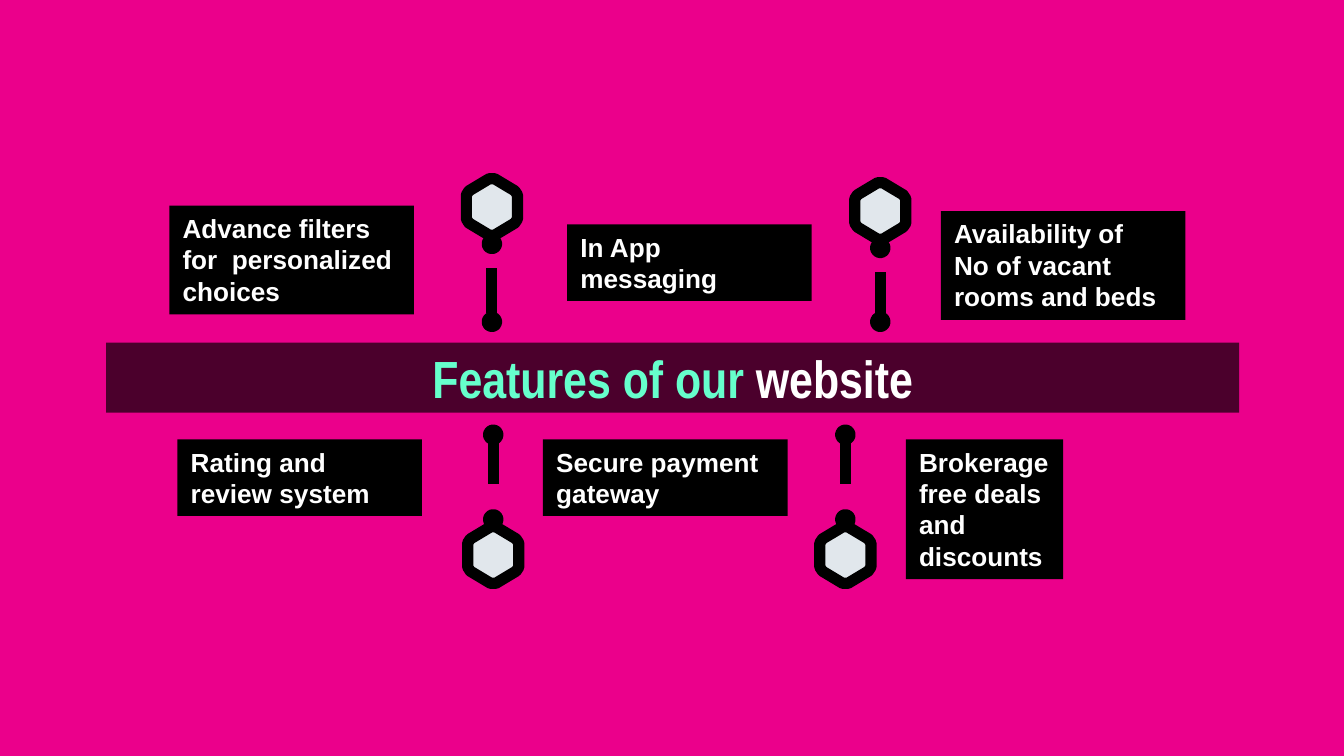
from typing import NamedTuple

from lxml import etree
from pptx import Presentation
from pptx.dml.color import RGBColor
from pptx.enum.dml import MSO_LINE
from pptx.enum.shapes import MSO_CONNECTOR, MSO_SHAPE
from pptx.enum.text import MSO_ANCHOR, MSO_AUTO_SIZE, PP_ALIGN
from pptx.oxml.ns import qn
from pptx.util import Inches, Pt

DASH = MSO_LINE.DASH
STRAIGHT = MSO_CONNECTOR.STRAIGHT
OVAL, RECTANGLE = MSO_SHAPE.OVAL, MSO_SHAPE.RECTANGLE
MIDDLE, TOP = MSO_ANCHOR.MIDDLE, MSO_ANCHOR.TOP
NO_FIT, GROW = MSO_AUTO_SIZE.NONE, MSO_AUTO_SIZE.SHAPE_TO_FIT_TEXT
CENTER, LEFT = PP_ALIGN.CENTER, PP_ALIGN.LEFT

COLORS = {
    "background": "EB008B",
    "black": "000000",
    "white": "FFFFFF",
    "mint": "66FFCC",
    "hexagon": "E1E7EC",
    "dot": "A5B7C6",
}
DOT_SIZE = 0.07
HEXAGON_HEIGHT = 0.42
# Top right quarter of a hexagon with cut corners, from its top middle
HEXAGON_QUARTER = [(0.02, 0), (0.17, 0.09), (0.19, 0.12)]


class Marker(NamedTuple):
    """A hexagon tied to the title bar by two dots and a dashed line."""
    center: float
    hexagon_top: float
    outer_dot_top: float
    inner_dot_top: float
    line_start: float
    line_end: float


class Feature(NamedTuple):
    left: float
    top: float
    width: float
    height: float
    paragraphs: list[str]


MARKERS = [
    Marker(3.66, 1.33, 1.78, 2.36, 2.33, 1.85),
    Marker(6.55, 1.36, 1.81, 2.36, 2.36, 1.88),
    Marker(3.67, 3.92, 3.83, 3.20, 3.27, 3.83),
    Marker(6.29, 3.92, 3.83, 3.20, 3.27, 3.83),
]
FEATURES = [
    Feature(1.26, 1.53, 1.82, 0.81, ["Advance filters for  personalized choices"]),
    Feature(4.22, 1.67, 1.82, 0.57, ["In App messaging"]),
    Feature(7.00, 1.57, 1.82, 0.81, ["Availability of", "No of vacant rooms and beds"]),
    Feature(1.32, 3.27, 1.82, 0.57, ["Rating and review system"]),
    Feature(4.04, 3.27, 1.82, 0.57, ["Secure payment gateway"]),
    Feature(6.74, 3.27, 1.17, 1.04, ["Brokerage free deals and discounts"]),
]


def color(name: str) -> RGBColor:
    return RGBColor.from_string(COLORS[name])


def fill_shape(shape, name: str) -> None:
    shape.fill.solid()
    shape.fill.fore_color.rgb = color(name)


def style_line(line) -> None:
    line.color.rgb = color("black")
    line.width = Pt(6)


def style_marker_part(shape, fill: str) -> None:
    shape.shadow.inherit = False
    fill_shape(shape, fill)
    style_line(shape.line)


def add_span(para, text: str, font: str, size: float, name: str) -> None:
    span = para.add_run()
    span.text = text
    span.font.name = font
    span.font.size = Pt(size)
    span.font.bold = True
    span.font.color.rgb = color(name)


def add_hexagon(page, center: float, top: float) -> None:
    right = HEXAGON_QUARTER + [
        (x, HEXAGON_HEIGHT - y) for x, y in reversed(HEXAGON_QUARTER)
    ]
    outline = right + [(-x, y) for x, y in reversed(right)]
    points = [(Inches(center + x), Inches(top + y)) for x, y in outline]
    builder = page.shapes.build_freeform(*points[0])
    builder.add_line_segments(points[1:], close=True)
    style_marker_part(builder.convert_to_shape(), "hexagon")


def add_dot(page, center: float, top: float) -> None:
    dot = page.shapes.add_shape(
        OVAL, Inches(center - DOT_SIZE / 2), Inches(top), Inches(DOT_SIZE), Inches(DOT_SIZE)
    )
    style_marker_part(dot, "dot")


def add_marker(page, marker: Marker) -> None:
    add_hexagon(page, marker.center, marker.hexagon_top)
    add_dot(page, marker.center, marker.outer_dot_top)
    add_dot(page, marker.center, marker.inner_dot_top)
    x = Inches(marker.center)
    line = page.shapes.add_connector(
        STRAIGHT, x, Inches(marker.line_start), x, Inches(marker.line_end)
    )
    style_line(line.line)
    line.line.dash_style = DASH
    etree.SubElement(line.element.spPr, qn("a:effectLst"))


def add_feature(page, feature: Feature) -> None:
    box = page.shapes.add_shape(RECTANGLE, *(Inches(value) for value in feature[:4]))
    box.shadow.inherit = False
    fill_shape(box, "black")
    box.line.fill.background()
    frame = box.text_frame
    frame.word_wrap = True
    frame.auto_size = GROW
    frame.vertical_anchor = TOP
    for index, text in enumerate(feature.paragraphs):
        para = frame.add_paragraph() if index else frame.paragraphs[0]
        para.alignment = LEFT
        add_span(para, text, "Arial", 14, "white")


def format_title(title) -> None:
    title.left, title.top = Inches(0.79), Inches(2.55)
    title.width, title.height = Inches(8.43), Inches(0.52)
    fill_shape(title, "black")
    black = title.element.spPr.find(qn("a:solidFill"))[0]
    etree.SubElement(black, qn("a:alpha"), val="68000")
    frame = title.text_frame
    frame.word_wrap = True
    frame.auto_size = NO_FIT
    frame.vertical_anchor = MIDDLE
    frame.margin_left = frame.margin_right = Inches(0.1)
    frame.margin_top = frame.margin_bottom = Inches(0.1)
    para = frame.paragraphs[0]
    para.alignment = CENTER
    para.line_spacing = 1.0
    add_span(para, "Features of our ", "Arial Narrow", 28, "mint")
    add_span(para, "website", "Arial Narrow", 28, "white")


def main() -> None:
    deck = Presentation()
    deck.slide_width = Inches(10)
    deck.slide_height = deck.slide_width * 9 // 16
    page = deck.slides.add_slide(deck.slide_layouts[5])
    page.background.fill.solid()
    page.background.fill.fore_color.rgb = color("background")
    format_title(page.shapes.title)
    for marker in MARKERS:
        add_marker(page, marker)
    for feature in FEATURES:
        add_feature(page, feature)
    deck.save("out.pptx")


if __name__ == "__main__":
    main()
